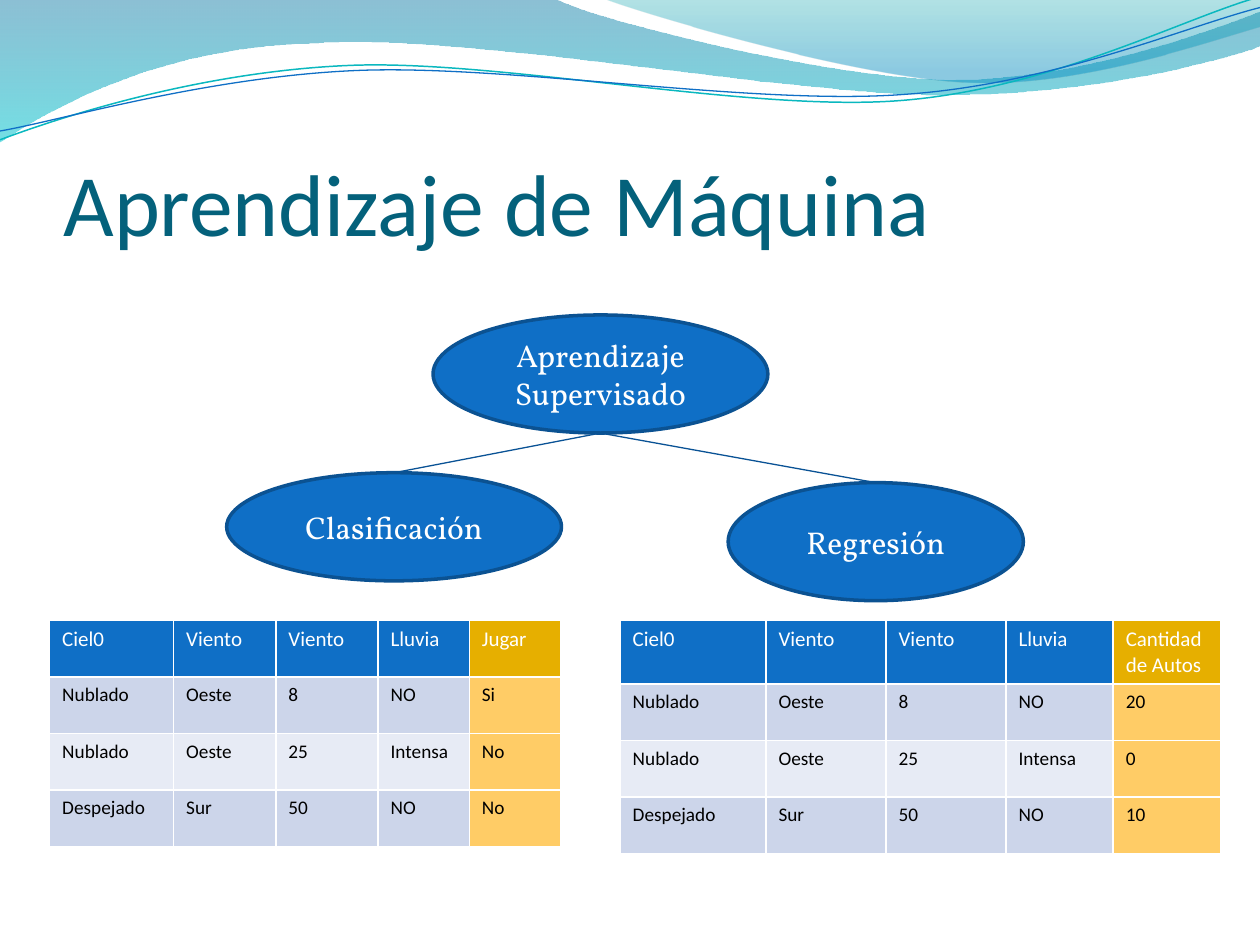
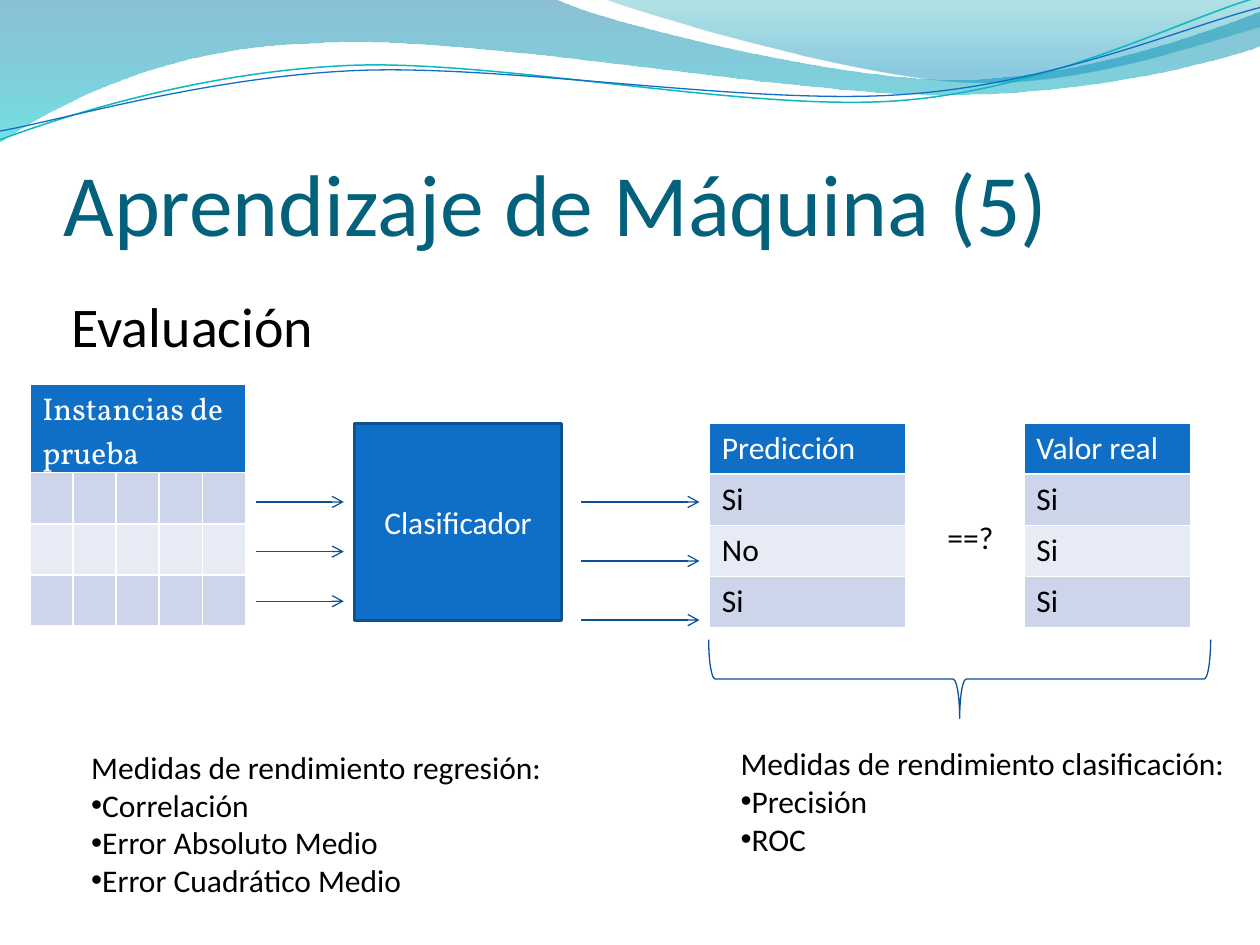
from lxml.etree import SubElement
from pptx import Presentation
from pptx.dml.color import RGBColor
from pptx.enum.shapes import MSO_CONNECTOR, MSO_SHAPE
from pptx.enum.text import MSO_ANCHOR, PP_ALIGN
from pptx.oxml.ns import qn
from pptx.util import Cm, Pt

BLUE, OUTLINE, LINE = "0F6FC6", "0B5292", "095295"
WHITE, BLACK, TITLE = "FFFFFF", "000000", "04617B"
GOLD, LIGHT_GOLD = "E6AF00", "FFCC66"
BANDS = ["CCD5EA", "E7EBF5"]
UNIT = Cm(2.54)  # a tenth of the slide width, used for the waves


def color(value):
    return RGBColor.from_string(value)


def write(frame, lines, size, ink, name="Calibri", align=PP_ALIGN.LEFT):
    """Write one paragraph per line; lines after the first get a bullet."""
    frame.word_wrap = True
    font_format = {"name": name, "size": Pt(size), "bold": False}
    for index, line in enumerate(lines):
        paragraph = frame.add_paragraph() if index else frame.paragraphs[0]
        paragraph.alignment = align
        run = paragraph.add_run()
        run.text = line
        run.font.color.rgb = color(ink)
        for attribute, value in font_format.items():
            setattr(run.font, attribute, value)
        if index:
            properties = paragraph._p.get_or_add_pPr()
            SubElement(properties, qn("a:buFont")).set("typeface", "Arial")
            SubElement(properties, qn("a:buChar")).set("char", "•")


presentation = Presentation()
presentation.slide_width = Cm(25.4)
presentation.slide_height = Cm(19.05)
layout = presentation.slide_layouts[6]

# Slides with the shared title style
slides = []
for title in ["Aprendizaje de Máquina", "Aprendizaje de Máquina (5)"]:
    slide = presentation.slides.add_slide(layout)
    slides.append(slide)
    frame = slide.shapes.add_textbox(Cm(1.28), Cm(1.95), Cm(22.86), Cm(3.18)).text_frame
    frame_format = {"margin_left": 0, "margin_right": 0, "margin_bottom": 0,
                    "vertical_anchor": MSO_ANCHOR.BOTTOM}
    for attribute, value in frame_format.items():
        setattr(frame, attribute, value)
    write(frame, [title], 50, TITLE)
learning, evaluation = slides

# Waves: a start point, then steps of 2 numbers (line) or 6 (curve)
waves = [
    {"start": (0, 0),
     "steps": [(4.4, -0.01), (4.76, 0.17, 6.64, 0.63, 7.58, 0.63),
               (8.53, 0.63, 9.58, 0.26, 10, 0.09), (10.01, 0.36),
               (9.83, 0.44, 8.7, 0.76, 7.46, 0.75),
               (6.22, 0.75, 3.82, 0.28, 2.57, 0.34),
               (1.29, 0.36, 0.46, 0.83, -0.01, 1.13)],
     "stops": [(0, "0074A1", 45), (1, "00C6CF", 55)]},
    {"start": (4.79, -0.01),
     "steps": [(5.09, 0.11, 6.82, 0.62, 7.69, 0.65),
               (8.56, 0.69, 9.61, 0.32, 10, 0.21), (10, 0)],
     "stops": [(0, "00A1A9", 30), (0.8, "008BBF", 45)]},
    {"start": (0, 1.11),
     "steps": [(0.48, 0.93, 1.58, 0.57, 2.77, 0.52),
               (3.95, 0.47, 5.93, 0.89, 7.13, 0.8),
               (8.33, 0.71, 9.38, 0.15, 9.98, -0.02)],
     "line": ("0AB8BF", 0.85)},
    {"start": (0, 1.04),
     "steps": [(0.47, 0.96, 1.64, 0.61, 2.83, 0.56),
               (4.03, 0.51, 5.97, 0.84, 7.17, 0.75),
               (8.36, 0.67, 9.41, 0.21, 10, 0.06)],
     "line": (BLUE, 0.75)},
]
for number, wave in enumerate(waves):
    points = [wave["start"]]
    for step in wave["steps"]:
        points += zip(step[::2], step[1::2])
    points = [(round(x * UNIT), round(y * UNIT)) for x, y in points]
    builder = learning.shapes.build_freeform(*points[0])
    builder.add_line_segments(points[1:], close="stops" in wave)
    shape = builder.convert_to_shape()
    shape.shadow.inherit = False

    # Join each three points of a curve step into one Bezier segment
    outline = next(shape._element.iter(qn("a:path")))
    segments = iter(outline.findall(qn("a:lnTo")))
    for step in wave["steps"]:
        segment = next(segments)
        if len(step) == 6:
            curve = SubElement(outline, qn("a:cubicBezTo"))
            segment.addprevious(curve)
            for part in (segment, next(segments), next(segments)):
                curve.append(part[0])
                outline.remove(part)

    if "stops" in wave:
        shape.line.fill.background()
        shape.fill.gradient()
        shape.fill.gradient_angle = 270
        for stop, (position, ink, opacity) in zip(shape.fill.gradient_stops, wave["stops"]):
            stop.position = position
            stop.color.rgb = color(ink)
        inks = shape._element.spPr.iter(qn("a:srgbClr"))
        for ink_element, (position, ink, opacity) in zip(inks, wave["stops"]):
            SubElement(ink_element, qn("a:alpha")).set("val", str(opacity * 1000))
    else:
        ink, width = wave["line"]
        shape.fill.background()
        shape.line.color.rgb = color(ink)
        shape.line.width = Pt(width)

    # The layout carries the waves for every slide
    shape._element.nvSpPr.cNvPr.set("id", str(20 + number))
    layout.shapes._spTree.append(shape._element)

# Blue shapes: learning tree and classifier
blue_shapes = {}
for slide, kind, text, font, box in [
    (learning, MSO_SHAPE.OVAL, "Aprendizaje Supervisado", "Vollkorn", (8.73, 6.35, 6.75, 2.38)),
    (learning, MSO_SHAPE.OVAL, "Clasificación", "Vollkorn", (4.57, 9.53, 6.75, 2.18)),
    (learning, MSO_SHAPE.OVAL, "Regresión", "Vollkorn", (14.68, 9.73, 5.95, 2.38)),
    (evaluation, MSO_SHAPE.RECTANGLE, "Clasificador", "Calibri", (7.15, 8.54, 4.17, 3.97)),
]:
    shape = slide.shapes.add_shape(kind, *map(Cm, box))
    shape.shadow.inherit = False
    shape.fill.solid()
    shape.fill.fore_color.rgb = color(BLUE)
    shape.line.color.rgb = color(OUTLINE)
    shape.line.width = Pt(2)
    shape.text_frame.vertical_anchor = MSO_ANCHOR.MIDDLE
    write(shape.text_frame, [text], 18, WHITE, font, PP_ALIGN.CENTER)
    blue_shapes[text] = shape

# Tree branches, then arrows into and out of the classifier
connectors = []
root = blue_shapes["Aprendizaje Supervisado"]
root_bottom = (root.left + root.width // 2, root.top + root.height)
for text in ["Clasificación", "Regresión"]:
    connector = learning.shapes.add_connector(MSO_CONNECTOR.STRAIGHT, *root_bottom, *root_bottom)
    connector.end_connect(blue_shapes[text], 0)
    connectors.append((connector, False))
for left, right, gap in [(5.16, 6.93, 1), (11.71, 14.1, 1.19)]:
    for row in range(3):
        y = Cm(10.12 + row * gap)
        connector = evaluation.shapes.add_connector(
            MSO_CONNECTOR.STRAIGHT, Cm(left), y, Cm(right), y)
        connectors.append((connector, True))
for connector, has_arrow in connectors:
    connector.line.color.rgb = color(LINE)
    connector.line.width = Pt(0.75)
    if has_arrow:
        SubElement(connector.line._get_or_add_ln(), qn("a:tailEnd")).set("type", "arrow")
    SubElement(connector._element.spPr, qn("a:effectLst"))

# Brace under the compared columns
brace = evaluation.shapes.add_shape(
    MSO_SHAPE.RIGHT_BRACE, Cm(18.55), Cm(8.63), Cm(1.59), Cm(10.12))
brace.rotation = 90
brace.shadow.inherit = False
brace.fill.background()
brace.line.color.rgb = color(LINE)
brace.line.width = Pt(0.75)

# Free texts of the evaluation slide
for box, size, lines in [
    ((1.19, 5.75, 16.87, 1.62), 32, ["Evaluación"]),
    ((18.85, 10.32, 1.78, 1.03), 18, ["==?"]),
    ((1.59, 14.95, 10.72, 3.6), 18,
     ["Medidas de rendimiento regresión:", "Correlación",
      "Error Absoluto Medio", "Error Cuadrático Medio"]),
    ((14.68, 14.88, 10.72, 2.8), 18,
     ["Medidas de rendimiento clasificación:", "Precisión", "ROC"]),
]:
    textbox = evaluation.shapes.add_textbox(*map(Cm, box))
    write(textbox.text_frame, lines, size, BLACK)

# Tables: the weather rows are shared, only the target column differs
weather = [["Ciel0", "Viento", "Viento", "Lluvia"],
           ["Nublado", "Oeste", "8", "NO"],
           ["Nublado", "Oeste", "25", "Intensa"],
           ["Despejado", "Sur", "50", "NO"]]
games = ["Jugar", "Si", "No", "No"]
cars = ["Cantidad de Autos", "20", "0", "10"]
tables = [
    {"slide": learning, "at": (1, 12.51), "columns": [2.5, 2.06, 2.06, 1.84, 1.84],
     "heights": [1.14] * 4, "sizes": (12, 11), "target": 4,
     "rows": [row + [value] for row, value in zip(weather, games)]},
    {"slide": learning, "at": (12.5, 12.51), "columns": [2.94, 2.42, 2.42, 2.16, 2.16],
     "heights": [1.28] + [1.14] * 3, "sizes": (12, 11), "target": 4,
     "rows": [row + [value] for row, value in zip(weather, cars)]},
    {"slide": evaluation, "at": (0.6, 7.75), "columns": [0.87] * 5,
     "heights": [1.75] + [1.03] * 3, "sizes": (18, 18), "font": "Vollkorn",
     "rows": [["Instancias de prueba"] + [""] * 4] + [[""] * 5] * 3},
    {"slide": evaluation, "at": (14.3, 8.53), "columns": [3.96],
     "heights": [1.03] * 4, "sizes": (18, 18),
     "rows": [["Predicción"], ["Si"], ["No"], ["Si"]]},
    {"slide": evaluation, "at": (20.64, 8.53), "columns": [3.37],
     "heights": [1.03] * 4, "sizes": (18, 18),
     "rows": [["Valor real"], ["Si"], ["Si"], ["Si"]]},
]
for data in tables:
    rows, columns, heights = data["rows"], data["columns"], data["heights"]
    left, top = data["at"]
    table = data["slide"].shapes.add_table(
        len(rows), len(columns), Cm(left), Cm(top), Cm(sum(columns)), Cm(sum(heights))).table
    for column, width in zip(table.columns, columns):
        column.width = Cm(width)
    if len(columns) > 1 and not rows[0][1]:
        table.cell(0, 0).merge(table.cell(0, len(columns) - 1))
    for row_index, row in enumerate(rows):
        table.rows[row_index].height = Cm(heights[row_index])
        is_header = row_index == 0
        for column_index, text in enumerate(row):
            cell = table.cell(row_index, column_index)
            if column_index == data.get("target"):
                background = GOLD if is_header else LIGHT_GOLD
            else:
                background = BLUE if is_header else BANDS[(row_index - 1) % 2]
            cell.fill.solid()
            cell.fill.fore_color.rgb = color(background)
            if text:
                write(cell.text_frame, [text], data["sizes"][0 if is_header else 1],
                      WHITE if is_header else BLACK, data.get("font", "Calibri"))

presentation.save("out.pptx")
